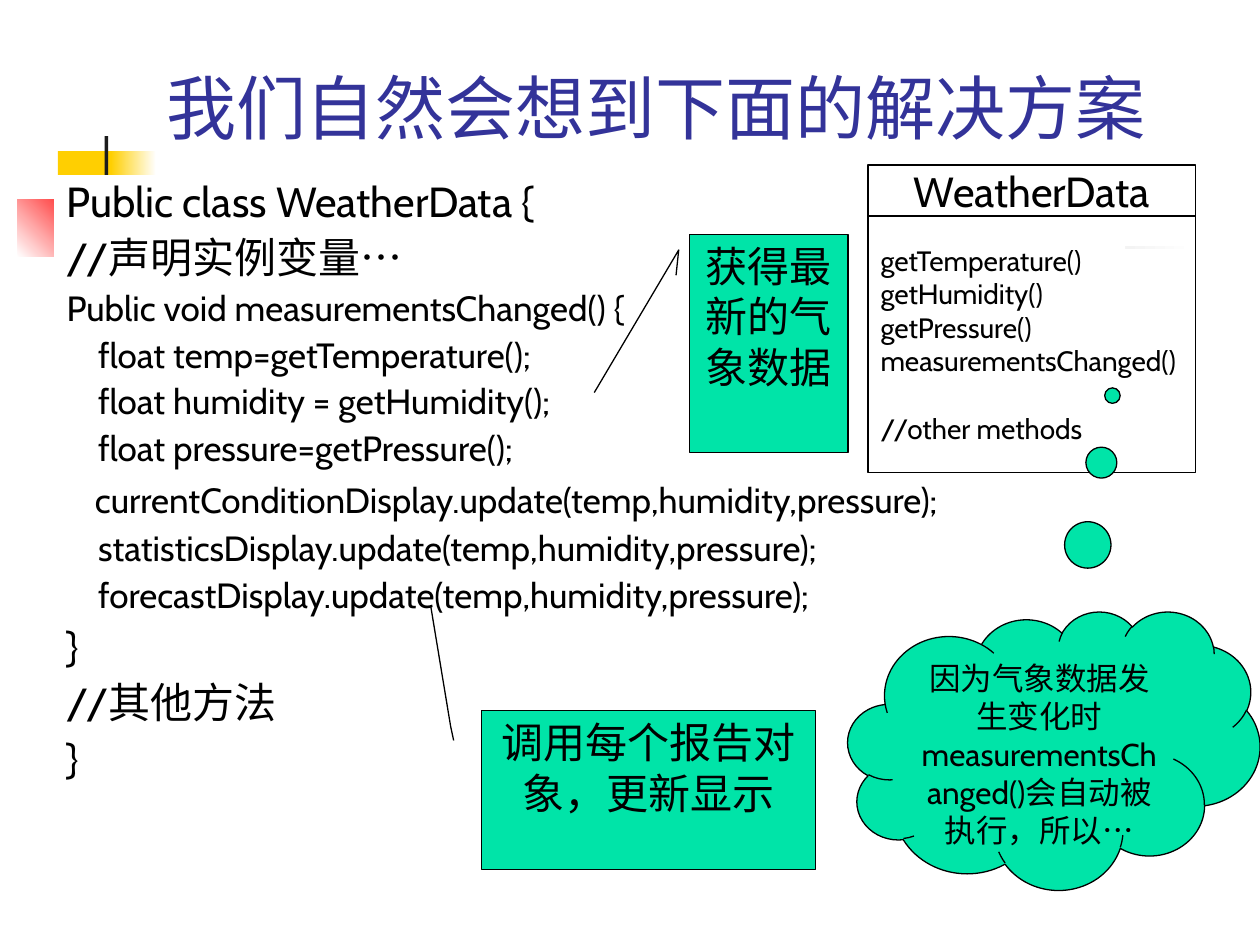
from pptx import Presentation
from pptx.dml.color import RGBColor
from pptx.enum.shapes import MSO_SHAPE
from pptx.enum.text import MSO_ANCHOR, PP_ALIGN
from pptx.util import Inches, Pt

RECT = MSO_SHAPE.RECTANGLE
CALL = MSO_SHAPE.LINE_CALLOUT_2
CLOUD = MSO_SHAPE.CLOUD_CALLOUT
TOP, MID, LOW = MSO_ANCHOR.TOP, MSO_ANCHOR.MIDDLE, MSO_ANCHOR.BOTTOM
LEFT, CENTER = PP_ALIGN.LEFT, PP_ALIGN.CENTER

HUES = {"gold": "FFCF01", "white": "FFFFFF", "red": "FF0000",
        "dark": "1C1C1C", "blue": "333399", "black": "000000",
        "mint": "00E4A8"}
RGB = {name: RGBColor.from_string(code) for name, code in HUES.items()}


def draw(parent, kind, at, fill=None, line=None, angle=0):
    """Add a shape; a pair of fill names makes a gradient."""
    shape = parent.add_shape(kind, *map(Inches, at))
    shape.shadow.inherit = False
    if fill is None:
        shape.fill.background()
    elif isinstance(fill, tuple):
        shape.fill.gradient()
        shape.fill.gradient_angle = angle
        for stop, place, name in zip(shape.fill.gradient_stops, (0, 1), fill):
            stop.position = place
            stop.color.rgb = RGB[name]
    else:
        shape.fill.solid()
        shape.fill.fore_color.rgb = RGB[fill]
    if line:
        shape.line.color.rgb = RGB[line]
        shape.line.width = Pt(0.75)
    else:
        shape.line.fill.background()
    return shape


def write(shape, rows, color="black", anchor=TOP, wrap=True, **form):
    """Fill a shape with rows, each a list of (text, size) runs."""
    frame = shape.text_frame
    frame.word_wrap = wrap
    frame.vertical_anchor = anchor
    for i, row in enumerate(rows):
        para = frame.add_paragraph() if i else frame.paragraphs[0]
        for name, value in form.items():
            setattr(para, name, value)
        for text, size in row:
            run = para.add_run()
            run.text = text
            font = "Times New Roman" if text == "…" else "Cabin"
            for name, value in {"name": font, "size": Pt(size)}.items():
                setattr(run.font, name, value)
            run.font.color.rgb = RGB[color]
    return frame.paragraphs


deck = Presentation()
deck.slide_width, deck.slide_height = Inches(10), Inches(7.5)
slide = deck.slides.add_slide(deck.slide_layouts[6])
shapes = slide.shapes

# Corner ornament
for at, fill, angle in [
    ((0.46, 1.2, 0.48, 0.52), "gold", 0),
    ((0.88, 1.2, 0.36, 0.52), ("gold", "white"), 0),
    ((0.14, 1.58, 0.61, 0.46), ("white", "red"), 45),
    ((0.83, 1.08, 0.03, 1.15), "dark", 0),
    ((0.48, 1.95, 9, 0.03), ("dark", "white"), 0),
]:
    draw(shapes, RECT, at, fill, angle=angle)

title = shapes.add_textbox(*map(Inches, (1.22, 0.6, 8.52, 0.63)))
write(title, [[("我们自然会想到下面的解决方案", 40)]], "blue", LOW)

# Code listing
code = [
    [("Public class WeatherData {", 24)],
    [("//声明实例变量", 24), ("…", 24)],
    [("Public void measurementsChanged() {", 20)],
    [("    float temp=getTemperature();", 20)],
    [("    float humidity = getHumidity();", 20)],
    [("    float pressure=getPressure();", 20)],
    [("   ", 24),
     ("currentConditionDisplay.update(temp,humidity,pressure);", 20)],
    [("    statisticsDisplay.update(temp,humidity,pressure);", 20)],
    [("    forecastDisplay.update(temp,humidity,pressure);", 20)],
    [("}", 24)],
    [("//其他方法", 24)],
    [("}", 24)],
]
body = draw(shapes, RECT, (0.43, 1.39, 8.5, 5.83), "white")
paras = write(body, code, alignment=LEFT, line_spacing=0.9)
for para, row in list(zip(paras, code))[1:]:
    para.space_before = Pt(row[-1][1] / 4)

# Class box
group = shapes.add_group_shape().shapes
head = draw(group, RECT, (6.89, 1.31, 2.6, 0.41), line="black")
write(head, [[("WeatherData", 24)]], anchor=MID, wrap=False, alignment=CENTER)
calls = ["getTemperature()", "getHumidity()", "getPressure()",
         "measurementsChanged()", "//other methods"]
part = draw(group, RECT, (6.89, 1.71, 2.6, 2.04), line="black")
paras = write(part, [[(call, 16)] for call in calls],
              anchor=MID, wrap=False, alignment=LEFT)
paras[-1].space_before = Pt(19.2)

# Callouts
for kind, at, bends, runs in [
    (CALL, (5.47, 1.86, 1.26, 1.73),
     (0.188, -0.083, 0.072, -0.066, 0.726, -0.598),
     [("获得最新的气象数据", 24)]),
    (CALL, (3.82, 5.64, 2.65, 1.26),
     (0.188, -0.083, 0.099, -0.092, -0.664, -0.152),
     [("调用每个报告对象，更新显示", 24)]),
    (CLOUD, (6.73, 4.85, 3.27, 2.21), (0.142, -1.274),
     [("因为气象数据发生变化时measurementsChanged()会自动被执行，所以", 18),
      ("…", 18)]),
]:
    note = draw(shapes, kind, at, "mint", "black")
    for i, bend in enumerate(bends):
        note.adjustments[i] = bend
    write(note, [runs], alignment=CENTER)

deck.save("out.pptx")
